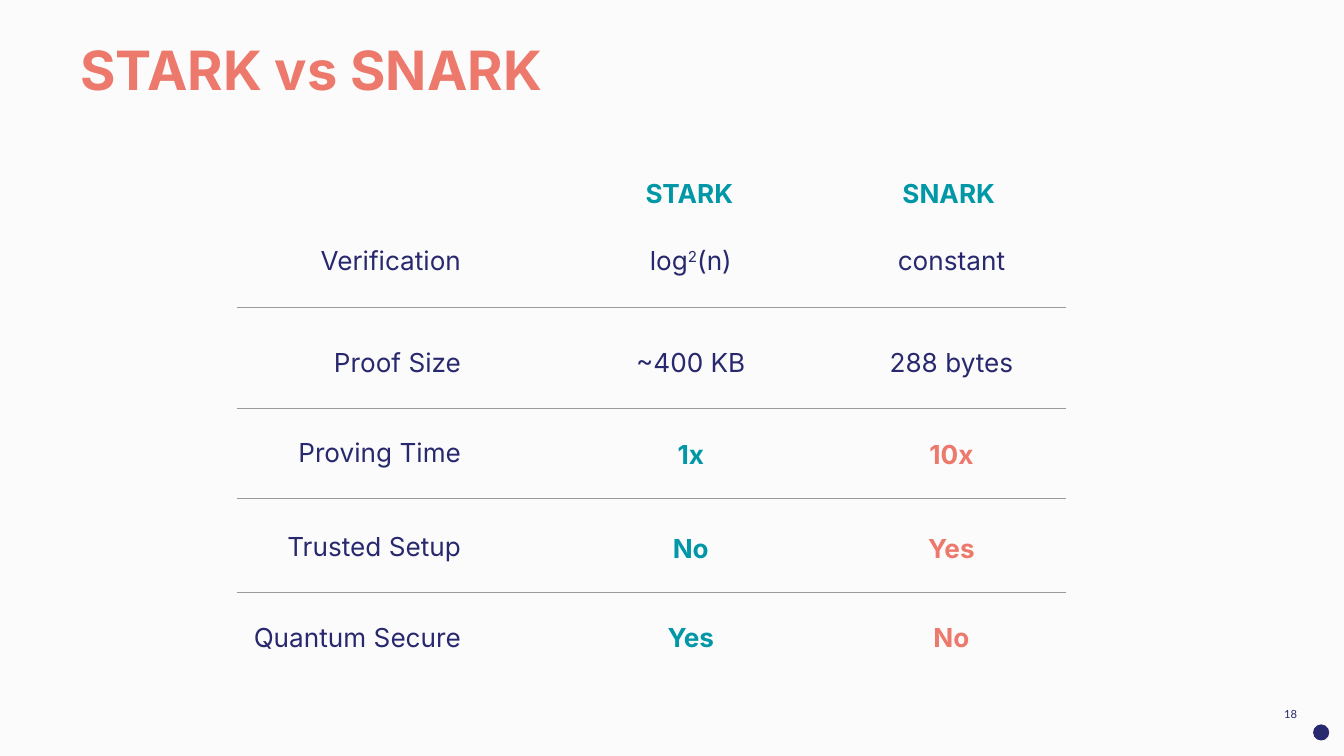
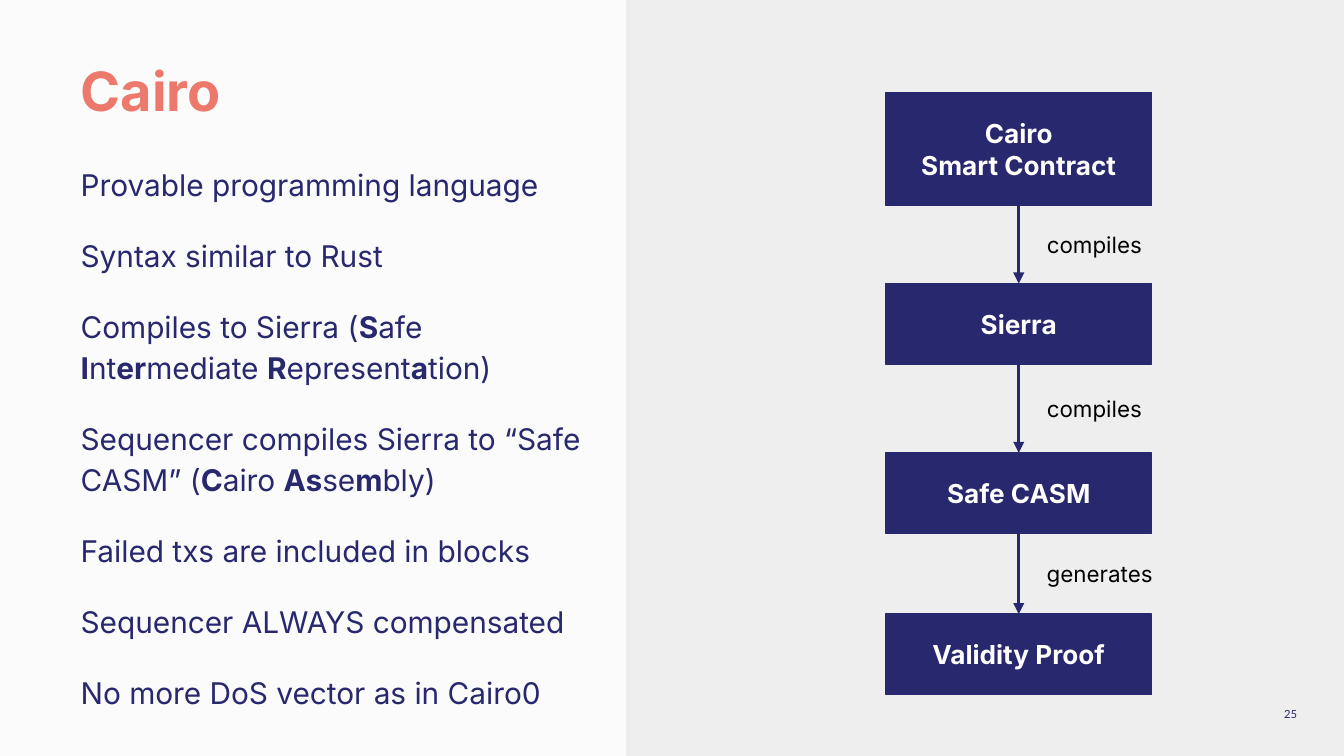
from itertools import pairwise

from lxml import etree
from pptx import Presentation
from pptx.enum import shapes, text
from pptx.oxml import ns
from pptx import util as u
from pptx.dml.color import RGBColor

PX = 4572  # EMU per px, 200 px to the inch
COLORS = {
    "paper": "FBFBFB",
    "panel": "EEEEEE",
    "navy": "28286E",
    "coral": "EC796B",
    "teal": "0097A7",
    "rule": "999999",
    "white": "FFFFFF",
    "black": "000000",
}
LEFT, CENTER, RIGHT = text.PP_ALIGN.LEFT, text.PP_ALIGN.CENTER, text.PP_ALIGN.RIGHT
TOP, MIDDLE = text.MSO_ANCHOR.TOP, text.MSO_ANCHOR.MIDDLE


def px(*lengths):
    return [u.Emu(length * PX) for length in lengths]


def color(name):
    return RGBColor.from_string(COLORS[name])


class Deck:
    """Holds the shared style and the current slide."""

    font = "Inter"
    inset = 20

    def __init__(self, width, height):
        self.presentation = Presentation()
        self.presentation.slide_width, self.presentation.slide_height = px(width, height)
        self.slide = None

    def new_slide(self, layout, title, title_box, number):
        self.slide = self.presentation.slides.add_slide(self.presentation.slide_layouts[layout])
        self.slide.background.fill.solid()
        self.slide.background.fill.fore_color.rgb = color("paper")
        self.place(self.slide.shapes.title, title_box)
        self.set_text(self.slide.shapes.title, title, 29, "coral", bold=True)
        self.label(str(number), (1830, 1020, 120, 86), 6, align=RIGHT, anchor=MIDDLE, font="Lato")

    def place(self, shape, box):
        shape.left, shape.top, shape.width, shape.height = px(*box)

    def set_text(self, shape, words, size, ink, bold=False, align=LEFT, anchor=TOP, font=None):
        """Fill a shape with text: *bold*, ^superscript^, one paragraph a line."""
        frame = shape.text_frame
        frame.word_wrap = True
        frame.auto_size = text.MSO_AUTO_SIZE.NONE
        frame.vertical_anchor = anchor
        frame.margin_left = frame.margin_right = frame.margin_top = frame.margin_bottom = px(self.inset)[0]
        frame.text = words
        for paragraph in frame.paragraphs:
            paragraph.alignment = align
            self.mark_runs(paragraph)
            for run in paragraph.runs:
                run.font.name = font or self.font
                run.font.size = u.Pt(size)
                run.font.color.rgb = color(ink)
                run.font.bold = bold or run.font.bold
        return frame

    def mark_runs(self, paragraph):
        words = paragraph.text
        paragraph.clear()
        for i, part in enumerate(words.split("*")):
            for j, piece in enumerate(part.split("^")):
                if piece:
                    run = paragraph.add_run()
                    run.text = piece
                    run.font.bold = i % 2 == 1
                    if j % 2:
                        run._r.get_or_add_rPr().set("baseline", "30000")

    def label(self, words, box, size=14, ink="navy", **style):
        shape = self.slide.shapes.add_textbox(*px(*box))
        self.set_text(shape, words, size, ink, **style)

    def body(self, lines, box, size, gap):
        shape = self.slide.placeholders[1]
        self.place(shape, box)
        frame = self.set_text(shape, "\n".join(lines), size, "navy")
        for i, paragraph in enumerate(frame.paragraphs):
            properties = paragraph._p.get_or_add_pPr()
            properties.set("marL", "0")
            properties.set("indent", "0")
            etree.SubElement(properties, ns.qn("a:buNone"))
            paragraph.line_spacing = 1.15
            paragraph.space_before = u.Pt(gap if i else 0)

    def block(self, kind, box, fill, words="", outlined=False):
        shape = self.slide.shapes.add_shape(kind, *px(*box))
        shape.shadow.inherit = False
        shape.fill.solid()
        shape.fill.fore_color.rgb = color(fill)
        if outlined:
            shape.line.color.rgb = color(fill)
            shape.line.width = u.Pt(0.75)
        else:
            shape.line.fill.background()
        if words:
            self.set_text(shape, words, 14, "white", bold=True, align=CENTER, anchor=MIDDLE)

    def line(self, start, end, ink, width, arrow=False):
        connector = self.slide.shapes.add_connector(
            shapes.MSO_CONNECTOR.STRAIGHT, *px(*start, *end))
        connector.line.color.rgb = color(ink)
        connector.line.width = u.Pt(width)
        if arrow:
            etree.SubElement(connector.line._get_or_add_ln(), ns.qn("a:tailEnd"), type="triangle")
        etree.SubElement(connector._element.spPr, ns.qn("a:effectLst"))


def comparison_slide(deck):
    deck.new_slide(5, "STARK vs SNARK", (100, 34, 1278, 126), 18)

    # Column headings
    for heading, left in (("STARK", 906), ("SNARK", 1292)):
        deck.label(heading, (left, 244, 240, 88), ink="teal", bold=True, align=CENTER)

    # Rows: label top, value top, label, values, whether the values stand out
    rows = [
        (344, 344, "Verification", "log^2^(n)", "constant", False),
        (496, 496, "Proof Size", "~400 KB", "288 bytes", False),
        (630, 632, "Proving Time", "1x", "10x", True),
        (770, 772, "Trusted Setup", "No", "Yes", True),
        (904, 904, "Quantum Secure", "Yes", "No", True),
    ]
    for label_top, value_top, name, stark, snark, strong in rows:
        deck.label(name, (270, label_top, 436, 88), align=RIGHT)
        for value, left, accent in ((stark, 908, "teal"), (snark, 1296, "coral")):
            deck.label(value, (left, value_top, 240, 88), ink=accent if strong else "navy",
                       bold=strong, align=CENTER)

    # Rules between the rows
    for y in (458, 608, 742, 882):
        deck.line((352, y), (1586, y), "rule", 0.75)

    # Corner dot
    deck.block(shapes.MSO_SHAPE.OVAL, (1954, 1078, 24, 24), "navy")


def cairo_slide(deck):
    rectangle = shapes.MSO_SHAPE.RECTANGLE
    deck.new_slide(1, "Cairo", (100, 66, 810, 126), 25)
    deck.body([
        "Provable programming language",
        "Syntax similar to Rust",
        "Compiles to Sierra (*S*afe *I*nt*er*mediate *R*epresent*a*tion)",
        "Sequencer compiles Sierra to “Safe CASM” (*C*airo *As*se*m*bly)",
        "Failed txs are included in blocks",
        "Sequencer ALWAYS compensated",
        "No more DoS vector as in Cairo0",
    ], (100, 220, 810, 852), 16, 16)

    # Side panel, kept behind the page number
    deck.block(rectangle, (932, 0, 1068, 1125), "panel")
    tree = deck.slide.shapes._spTree
    tree.insert(2, tree[-1])

    # Compilation stages: top, height, words
    stages = [
        (138, 168, "Cairo\nSmart Contract"),
        (422, 120, "Sierra"),
        (674, 120, "Safe CASM"),
        (914, 120, "Validity Proof"),
    ]
    left, width = 1318, 396
    for top, height, words in stages:
        deck.block(rectangle, (left, top, width, height), "navy", words, outlined=True)

    # Arrows with a label halfway down each
    center = left + width // 2
    steps = (("compiles", 284), ("compiles", 284), ("generates", 208))
    for (upper, lower), (step, label_width) in zip(pairwise(stages), steps):
        start, end = upper[0] + upper[1], lower[0]
        deck.line((center, start), (center, end), "navy", 1.5, arrow=True)
        deck.label(step, (1538, (start + end) // 2 - 46, label_width, 92), 12, "black", anchor=MIDDLE)


def main():
    deck = Deck(2000, 1125)
    comparison_slide(deck)
    cairo_slide(deck)
    deck.presentation.save("out.pptx")


if __name__ == "__main__":
    main()
